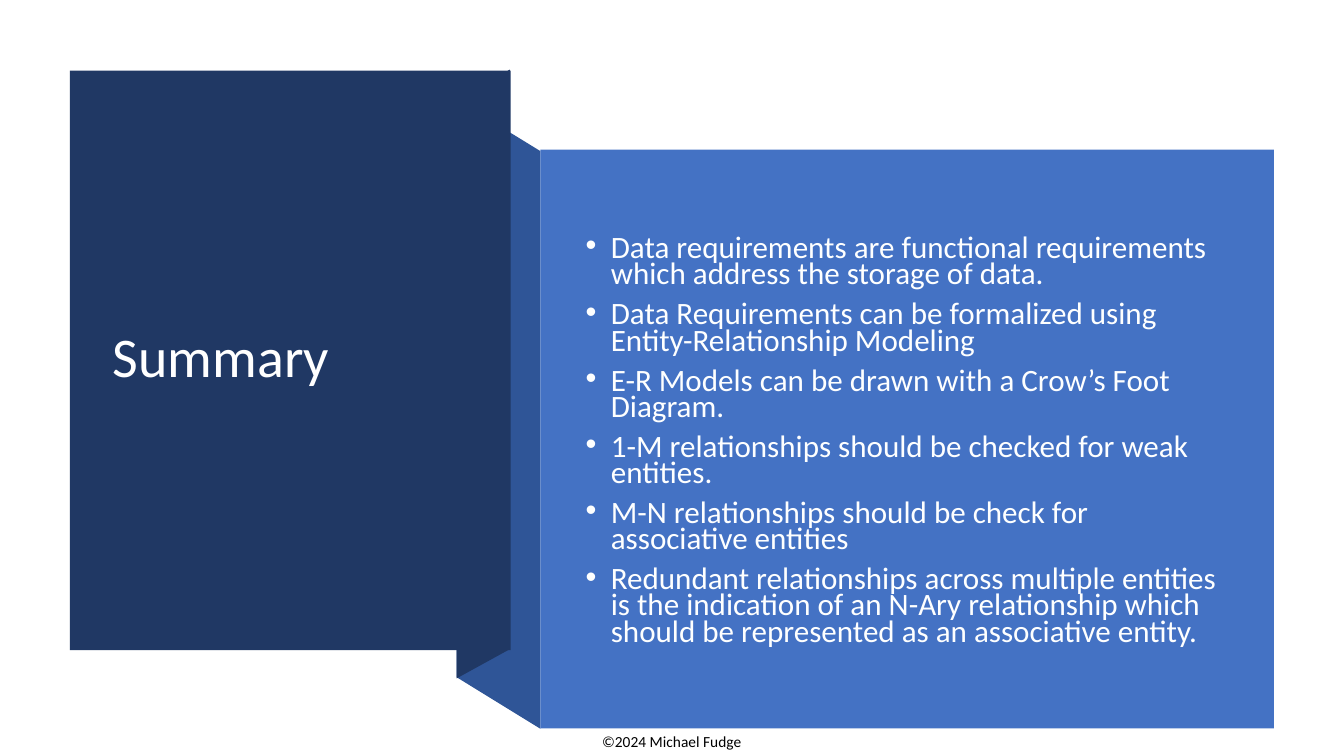
from lxml import etree
from pptx import Presentation
from pptx.dml.color import RGBColor
from pptx.enum.shapes import MSO_SHAPE
from pptx.enum.text import MSO_ANCHOR, MSO_AUTO_SIZE, PP_ALIGN
from pptx.oxml.ns import qn
from pptx.util import Pt

RECTANGLE = MSO_SHAPE.RECTANGLE
MIDDLE = MSO_ANCHOR.MIDDLE
NO_FIT = MSO_AUTO_SIZE.NONE
LEFT, CENTER = PP_ALIGN.LEFT, PP_ALIGN.CENTER

TITLE = "Summary"
POINTS = [
    "Data requirements are functional requirements which address the storage of data.",
    "Data Requirements can be formalized using Entity-Relationship Modeling",
    "E-R Models can be drawn with a Crow’s Foot Diagram.",
    "1-M relationships should be checked for weak entities.",
    "M-N relationships should be check for associative entities",
    "Redundant relationships across multiple entities is the indication of an "
    "N-Ary relationship which should be represented as an associative entity.",
]
COPYRIGHT = "©2024 Michael Fudge"

FONT = "Calibri"
COLORS = {
    "navy": "203864",
    "fold": "2F5597",
    "blue": "4472C4",
    "title": "FFFFFF",
    "points": "FEFFFF",
    "copyright": "000000",
}

TITLE_PANEL = (50, 50.4, 314.7, 414)
POINTS_PANEL = (386, 106.8, 524, 413.5)
TITLE_BOX = (73.4, 77, 267, 359.3)
POINTS_BOX = (411.1, 135.4, 475.2, 361.4)
COPYRIGHT_BOX = (408.2, 519.1, 143.3, 20.9)
FOLD_LEFT = 326.2
BACK_FOLD = [(386, 520.6), (FOLD_LEFT, 483.8), (FOLD_LEFT, 71.3), (386, 108)]
FRONT_FOLD = [(364.3, 463.7), (FOLD_LEFT, 484.6), (FOLD_LEFT, 70.6), (364.3, 49.7)]
INDENT = 18


def paint(shape, color):
    shape.shadow.inherit = False
    shape.fill.solid()
    shape.fill.fore_color.rgb = RGBColor.from_string(COLORS[color])
    shape.line.fill.background()


def add_panel(slide, box, color):
    paint(slide.shapes.add_shape(RECTANGLE, *map(Pt, box)), color)


def add_fold(slide, corners, color):
    start, *rest = [(Pt(x), Pt(y)) for x, y in corners]
    builder = slide.shapes.build_freeform(*start)
    builder.add_line_segments(rest, close=True)
    paint(builder.convert_to_shape(), color)


def place(shape, box):
    shape.left, shape.top, shape.width, shape.height = map(Pt, box)


def write(paragraph, text, size, color, align):
    paragraph.text = text
    paragraph.alignment = align
    paragraph.font.name = FONT
    paragraph.font.size = Pt(size)
    paragraph.font.color.rgb = RGBColor.from_string(COLORS[color])


def add_bullet(paragraph):
    properties = paragraph._p.get_or_add_pPr()
    properties.set("marL", str(Pt(INDENT)))
    properties.set("indent", str(-Pt(INDENT)))
    bullet_font = etree.Element(qn("a:buFont"), typeface="Arial")
    bullet = etree.Element(qn("a:buChar"), char="•")
    position = len(properties.findall(qn("a:lnSpc")) + properties.findall(qn("a:spcBef")))
    properties.insert(position, bullet_font)
    properties.insert(position + 1, bullet)


def fill_placeholder(slide, placeholder, box, texts, size, color, spacing):
    place(placeholder, box)
    slide.shapes._spTree.append(placeholder._element)
    frame = placeholder.text_frame
    frame.word_wrap = True
    frame.auto_size = NO_FIT
    frame.vertical_anchor = MIDDLE
    for number, text in enumerate(texts):
        paragraph = frame.add_paragraph() if number else frame.paragraphs[0]
        write(paragraph, text, size, color, LEFT)
        paragraph.line_spacing = spacing
    return frame


def main():
    deck = Presentation()
    deck.slide_width, deck.slide_height = Pt(960), Pt(540)
    slide = deck.slides.add_slide(deck.slide_layouts[1])
    title, body = slide.shapes.title, slide.placeholders[1]

    copyright_line = slide.shapes.add_textbox(*map(Pt, COPYRIGHT_BOX))
    copyright_line.text_frame.word_wrap = True
    write(copyright_line.text_frame.paragraphs[0], COPYRIGHT, 11, "copyright", CENTER)

    add_fold(slide, BACK_FOLD, "fold")
    add_fold(slide, FRONT_FOLD, "navy")
    add_panel(slide, TITLE_PANEL, "navy")
    fill_placeholder(slide, title, TITLE_BOX, [TITLE], 40, "title", 0.9)

    add_panel(slide, POINTS_PANEL, "blue")
    points = fill_placeholder(slide, body, POINTS_BOX, POINTS, 22.2, "points", 0.7)
    for paragraph in points.paragraphs:
        paragraph.space_before = Pt(10)
        add_bullet(paragraph)

    deck.save("out.pptx")


if __name__ == "__main__":
    main()
